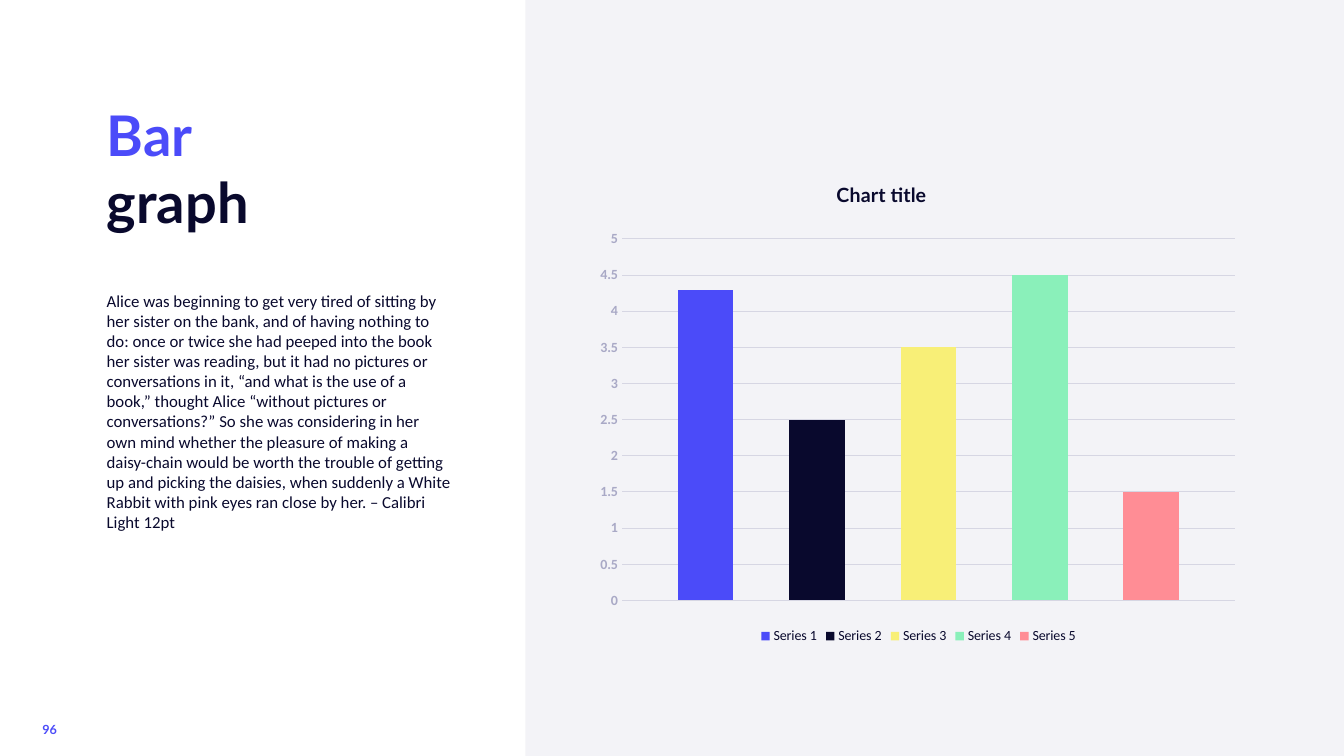
from dataclasses import dataclass

import pptx
import pptx.chart.data
import pptx.dml.color
import pptx.enum.chart
import pptx.enum.shapes
import pptx.enum.text
import pptx.oxml
import pptx.util
from pptx.util import Inches


@dataclass(frozen=True)
class Theme:
    heading_font: str = "Lato"
    body_font: str = "Calibri"
    accent: str = "4B4BF9"
    ink: str = "09092D"
    panel: str = "F3F3F7"
    axis: str = "A9A9C6"
    grid: str = "D6D6E3"
    title_size: float = 40
    chart_title_size: float = 14
    body_size: float = 12
    chart_size: float = 10
    number_size: float = 9


@dataclass(frozen=True)
class Bar:
    name: str
    value: float
    color: str


THEME = Theme()
BARS = [
    Bar("Series 1", 4.3, THEME.accent),
    Bar("Series 2", 2.5, THEME.ink),
    Bar("Series 3", 3.5, "F8EF77"),
    Bar("Series 4", 4.5, "8AF0BA"),
    Bar("Series 5", 1.5, "FF8D95"),
]
STORY = (
    "Alice was beginning to get very tired of sitting by her sister on the bank, "
    "and of having nothing to do: once or twice she had peeped into the book her "
    "sister was reading, but it had no pictures or conversations in it, “and what "
    "is the use of a book,” thought Alice “without pictures or conversations?” So "
    "she was considering in her own mind whether the pleasure of making a "
    "daisy-chain would be worth the trouble of getting up and picking the daisies, "
    "when suddenly a White Rabbit with pink eyes ran close by her. – Calibri Light 12pt"
)


def rgb(color: str) -> pptx.dml.color.RGBColor:
    return pptx.dml.color.RGBColor.from_string(color)


def style_font(font, size: float, color: str, name: str, bold: bool = False) -> None:
    font.size = pptx.util.Pt(size)
    font.color.rgb = rgb(color)
    font.name = name
    font.bold = bold


def add_span(para, text: str, **style) -> None:
    span = para.add_run()
    span.text = text
    style_font(span.font, **style)


def prepare_frame(box):
    """Make the box wrap and fit its text, and return its first paragraph."""
    frame = box.text_frame
    frame.word_wrap = True
    frame.auto_size = pptx.enum.text.MSO_AUTO_SIZE.SHAPE_TO_FIT_TEXT
    frame.vertical_anchor = pptx.enum.text.MSO_ANCHOR.TOP
    para = frame.paragraphs[0]
    para.alignment = pptx.enum.text.PP_ALIGN.LEFT
    return para


def add_text(page, text: str, left: float, top: float, width: float, height: float, **style):
    box = page.shapes.add_textbox(Inches(left), Inches(top), Inches(width), Inches(height))
    add_span(prepare_frame(box), text, **style)
    return box


def add_panel(page) -> None:
    panel = page.shapes.add_shape(
        pptx.enum.shapes.MSO_SHAPE.RECTANGLE, Inches(5.21), 0, Inches(8.12), Inches(7.5)
    )
    panel.shadow.inherit = False
    panel.fill.solid()
    panel.fill.fore_color.rgb = rgb(THEME.panel)
    panel.line.fill.background()


def set_title(page) -> None:
    title = page.shapes.title
    title.left, title.top = Inches(0.96), Inches(0.95)
    title.width, title.height = Inches(3.9), Inches(1.45)
    para = prepare_frame(title)
    style = dict(size=THEME.title_size, name=THEME.heading_font, bold=True)
    add_span(para, "Bar", color=THEME.accent, **style)
    para.add_line_break()
    add_span(para, "graph", color=THEME.ink, **style)


def place(element, target: str = "", **fractions: float) -> None:
    """Give a chart part a fixed place, in fractions of the chart."""
    layout = element.find(pptx.oxml.ns.qn("c:layout"))
    if layout is None:
        layout = pptx.oxml.parse_xml(f"<c:layout {pptx.oxml.ns.nsdecls('c')}/>")
        texts = element.find(pptx.oxml.ns.qn("c:tx"))
        element.insert(0 if texts is None else 1, layout)
    settings = [("layoutTarget", target)] if target else []
    settings += [(f"{key}Mode", "edge") for key in ("x", "y")]
    settings += list(fractions.items())
    manual = pptx.oxml.parse_xml(
        f"<c:manualLayout {pptx.oxml.ns.nsdecls('c')}>"
        + "".join(f'<c:{key} val="{value}"/>' for key, value in settings)
        + "</c:manualLayout>"
    )
    layout.append(manual)


def style_axes(chart) -> None:
    chart.category_axis.visible = False
    axis = chart.value_axis
    axis.minimum_scale, axis.maximum_scale, axis.major_unit = 0, 5, 0.5
    axis.major_tick_mark = pptx.enum.chart.XL_TICK_MARK.NONE
    axis.minor_tick_mark = pptx.enum.chart.XL_TICK_MARK.NONE
    axis.format.line.fill.background()
    axis.has_major_gridlines = True
    axis.major_gridlines.format.line.color.rgb = rgb(THEME.grid)
    axis.major_gridlines.format.line.width = pptx.util.Pt(0.75)
    style_font(axis.tick_labels.font, THEME.chart_size, THEME.axis, THEME.body_font, bold=True)


def add_bar_chart(page, bars: list[Bar]) -> None:
    data = pptx.chart.data.CategoryChartData()
    data.categories = ["1"]
    for bar in bars:
        data.add_series(bar.name, [bar.value])
    chart = page.shapes.add_chart(
        pptx.enum.chart.XL_CHART_TYPE.COLUMN_CLUSTERED,
        Inches(5.84), Inches(1.71), Inches(6.54), Inches(4.72), data,
    ).chart
    style_font(chart.font, THEME.chart_size, THEME.ink, THEME.heading_font)

    chart.has_title = True
    title = chart.chart_title
    title.include_in_layout = False
    add_span(title.text_frame.paragraphs[0], "Chart title", size=THEME.chart_title_size,
             color=THEME.ink, name=THEME.heading_font, bold=True)
    place(title._element, x=0.37, y=0.01)

    plot = chart.plots[0]
    plot.gap_width, plot.overlap = 200, -100
    plot.vary_by_categories = False
    for series, bar in zip(plot.series, bars):
        series.format.fill.solid()
        series.format.fill.fore_color.rgb = rgb(bar.color)
    style_axes(chart)
    place(chart._chartSpace.chart.plotArea, "inner", x=0.05, y=0.14, w=0.93, h=0.76)

    chart.has_legend = True
    chart.legend.position = pptx.enum.chart.XL_LEGEND_POSITION.BOTTOM
    chart.legend.include_in_layout = False
    style_font(chart.legend.font, THEME.chart_size, THEME.ink, THEME.body_font)


def add_page_number(page, number: str) -> None:
    box = add_text(page, number, 0.37, 7.13, 0.4, 0.24, size=THEME.number_size,
                   color=THEME.accent, name=THEME.heading_font, bold=True)
    frame = box.text_frame
    frame.margin_left = frame.margin_right = Inches(0.05)
    frame.margin_top = frame.margin_bottom = Inches(0.05)
    frame.paragraphs[0].line_spacing = 0.9


def main() -> None:
    deck = pptx.Presentation()
    deck.slide_width, deck.slide_height = Inches(13.33), Inches(7.5)
    page = deck.slides.add_slide(deck.slide_layouts[5])
    add_page_number(page, "96")
    add_panel(page)
    set_title(page)
    add_text(page, STORY, 0.96, 2.83, 3.62, 2.12, size=THEME.body_size,
             color=THEME.ink, name=THEME.body_font)
    add_bar_chart(page, BARS)
    deck.save("out.pptx")


if __name__ == "__main__":
    main()
